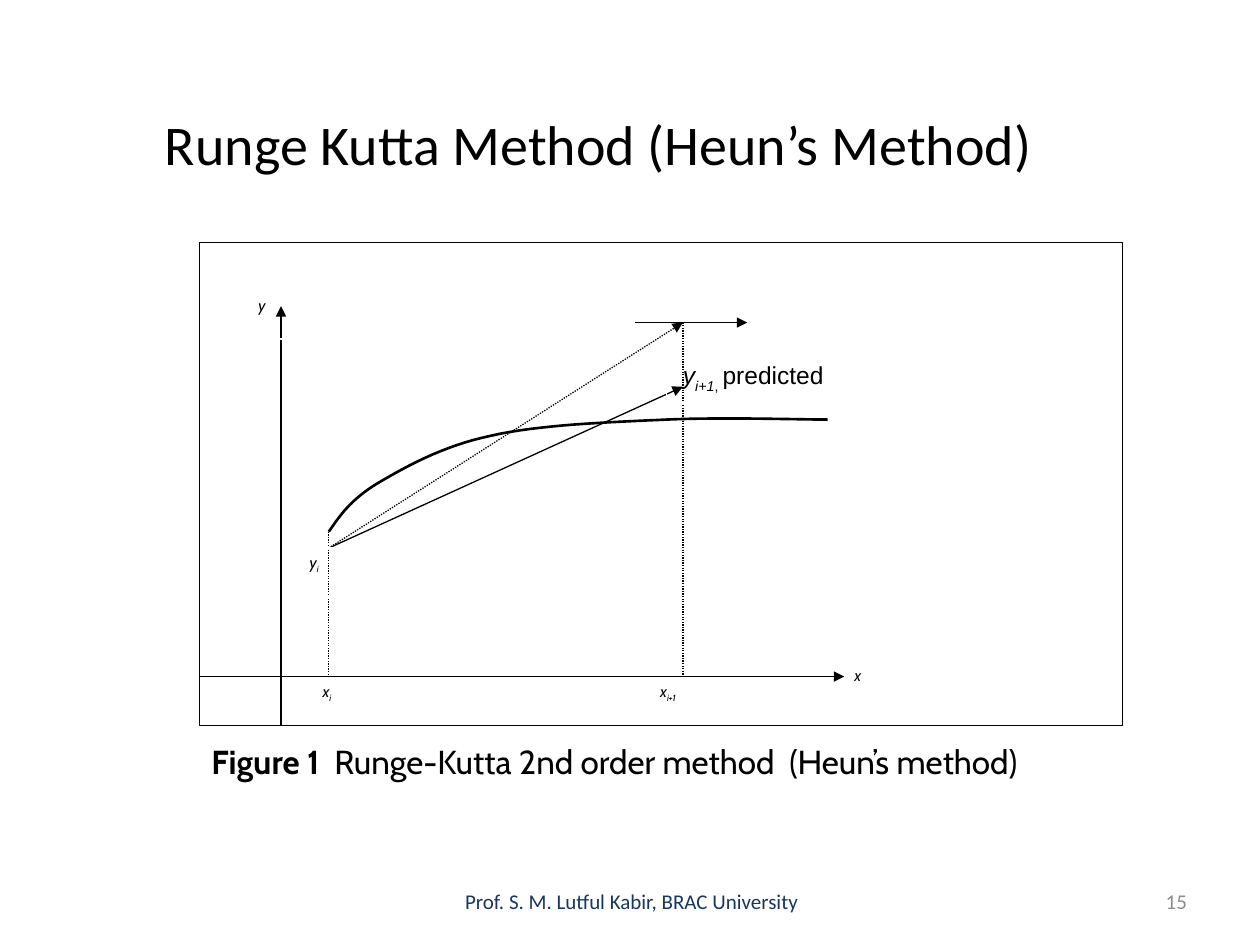
import pptx
import pptx.util
import pptx.dml.color
import pptx.enum.dml
import pptx.enum.shapes
import pptx.enum.text
import pptx.oxml
import pptx.oxml.ns
from pptx.util import Inches

COLORS = {"ink": "000000", "paper": "FFFFFF", "footer": "17375E", "number": "8C8C8C"}
ALIGN = pptx.enum.text.PP_ALIGN
ANCHOR = pptx.enum.text.MSO_ANCHOR

X_I, X_NEXT = 2.61, 5.42
AXIS_Y, START_Y = 5.37, 4.35
CORRECTED_Y, PREDICTED_Y = 2.56, 3.07
CURVE = [(2.61, 4.22), (2.7, 4.09), (2.78, 3.97), (2.99, 3.84),
         (3.21, 3.71), (3.51, 3.54), (3.89, 3.46),
         (4.27, 3.37), (4.85, 3.35), (5.29, 3.33),
         (5.74, 3.31), (6.36, 3.33), (6.57, 3.33)]


def rgb(name):
    return pptx.dml.color.RGBColor.from_string(COLORS[name])


def write(shape, runs, size, font="Calibri", color="ink", align=ALIGN.LEFT,
          anchor=ANCHOR.TOP, margins=(0.1, 0.05)):
    tf = shape.text_frame
    tf.word_wrap = True
    tf.vertical_anchor = anchor
    tf.margin_left = Inches(margins[0])
    tf.margin_right = Inches(0.08)
    tf.margin_top = tf.margin_bottom = Inches(margins[1])
    p = tf.paragraphs[0]
    p.alignment = align
    for text, style in runs:
        r = p.add_run()
        r.text = text
        r.font.name = font
        r.font.size = pptx.util.Pt(size)
        r.font.color.rgb = rgb(color)
        r.font.bold = "b" in style
        r.font.italic = "i" in style
        if "_" in style:
            r.font._element.set("baseline", "-25000")


def text_box(s, x, y, w, h, runs, size, **fmt):
    tb = s.shapes.add_textbox(Inches(x), Inches(y), Inches(w), Inches(h))
    write(tb, runs, size, **fmt)


def box(s, x, y, w, h, color, width):
    sp = s.shapes.add_shape(pptx.enum.shapes.MSO_SHAPE.RECTANGLE,
                            Inches(x), Inches(y), Inches(w), Inches(h))
    sp.shadow.inherit = False
    sp.fill.background()
    sp.line.color.rgb = rgb(color)
    sp.line.width = pptx.util.Pt(width)
    return sp


def label(s, x, y, runs, w=0.38, size=9, font="Cabin", indent=0.08, outlined=False):
    fmt = {"font": font, "margins": (indent, 0.04)}
    if outlined:
        write(box(s, x, y, w, 0.38, "paper", 0.75), runs, size, **fmt)
    else:
        text_box(s, x, y, w, 0.38, runs, size, **fmt)


def line(s, x1, y1, x2, y2, arrow=False, dotted=False):
    c = s.shapes.add_connector(pptx.enum.shapes.MSO_CONNECTOR.STRAIGHT,
                               Inches(x1), Inches(y1), Inches(x2), Inches(y2))
    c.line.color.rgb = rgb("ink")
    c.line.width = pptx.util.Pt(0.75)
    if dotted:
        c.line.dash_style = pptx.enum.dml.MSO_LINE.ROUND_DOT
    if arrow:
        tail = pptx.oxml.parse_xml(
            f'<a:tailEnd {pptx.oxml.ns.nsdecls("a")} type="triangle"/>')
        c.line._get_or_add_ln().append(tail)
    c._element.spPr.append(
        pptx.oxml.parse_xml(f'<a:effectLst {pptx.oxml.ns.nsdecls("a")}/>'))


def bezier_points(nodes, steps=16):
    points = [nodes[0]]
    for i in range(0, len(nodes) - 1, 3):
        for k in range(1, steps + 1):
            t = k / steps
            weights = ((1 - t) ** 3, 3 * t * (1 - t) ** 2, 3 * t * t * (1 - t), t ** 3)
            points.append(tuple(sum(w * n[axis] for w, n in zip(weights, nodes[i:i + 4]))
                                for axis in (0, 1)))
    return points


def curve(s, nodes):
    points = [(Inches(x), Inches(y)) for x, y in bezier_points(nodes)]
    fb = s.shapes.build_freeform(*points[0])
    fb.add_line_segments(points[1:], close=False)
    sp = fb.convert_to_shape()
    sp.shadow.inherit = False
    sp.fill.background()
    sp.line.color.rgb = rgb("ink")
    sp.line.width = pptx.util.Pt(1.5)


def draw_graph(s):
    box(s, 1.58, 1.92, 7.33, 3.84, "ink", 0.25)
    line(s, 2.23, 5.75, 2.23, 2.43, arrow=True)
    line(s, 1.59, AXIS_Y, 6.7, AXIS_Y, arrow=True)
    curve(s, CURVE)
    line(s, X_I, 4.22, X_I, AXIS_Y, dotted=True)
    line(s, X_NEXT, CORRECTED_Y, X_NEXT, AXIS_Y, dotted=True)
    line(s, X_I, START_Y, X_NEXT, CORRECTED_Y, arrow=True, dotted=True)
    line(s, 5.04, CORRECTED_Y, 5.93, CORRECTED_Y, arrow=True)
    label(s, 6.7, 5.24, [("x", "i")], outlined=True)
    label(s, 1.97, 2.31, [("y", "i")], outlined=True)
    label(s, 2.48, AXIS_Y, [("x", "i"), ("i", "i_")])
    label(s, 5.16, AXIS_Y, [("x", "i"), ("i+1", "i_")], w=0.51)
    line(s, X_I, START_Y, X_NEXT, PREDICTED_Y, arrow=True)
    label(s, 5.29, 2.82, [("y", "i"), ("i+1", "i_"), (", ", "_"), ("predicted", "")],
          w=1.62, size=14, font="Arial", indent=0.13, outlined=True)
    label(s, 2.36, START_Y, [("y", "i"), ("i", "i_")], indent=0.1, outlined=True)


def main():
    prs = pptx.Presentation()
    prs.slide_width, prs.slide_height = Inches(10), Inches(7.5)
    s = prs.slides.add_slide(prs.slide_layouts[5])
    title = s.shapes.title
    title.left, title.top = Inches(0.43), Inches(0.51)
    title.width, title.height = Inches(8.52), Inches(1.25)
    write(title, [(" Runge Kutta Method (Heun’s Method)", "")], 32,
          align=ALIGN.CENTER, anchor=ANCHOR.MIDDLE)
    text_box(s, 3.42, 6.95, 3.17, 0.4, [("Prof. S. M. Lutful Kabir, BRAC University", "")],
             12, color="footer", align=ALIGN.CENTER, anchor=ANCHOR.MIDDLE)
    text_box(s, 7.17, 6.95, 2.33, 0.4, [("15", "")], 12, color="number",
             align=ALIGN.RIGHT, anchor=ANCHOR.MIDDLE)
    draw_graph(s)
    text_box(s, 1.58, 5.83, 7.38, 0.42,
             [("Figure 1  ", "b"), ("Runge-Kutta 2nd order method  (Heun’s method)", "")],
             19, font="Cabin", anchor=ANCHOR.MIDDLE)
    prs.save("out.pptx")


if __name__ == "__main__":
    main()
